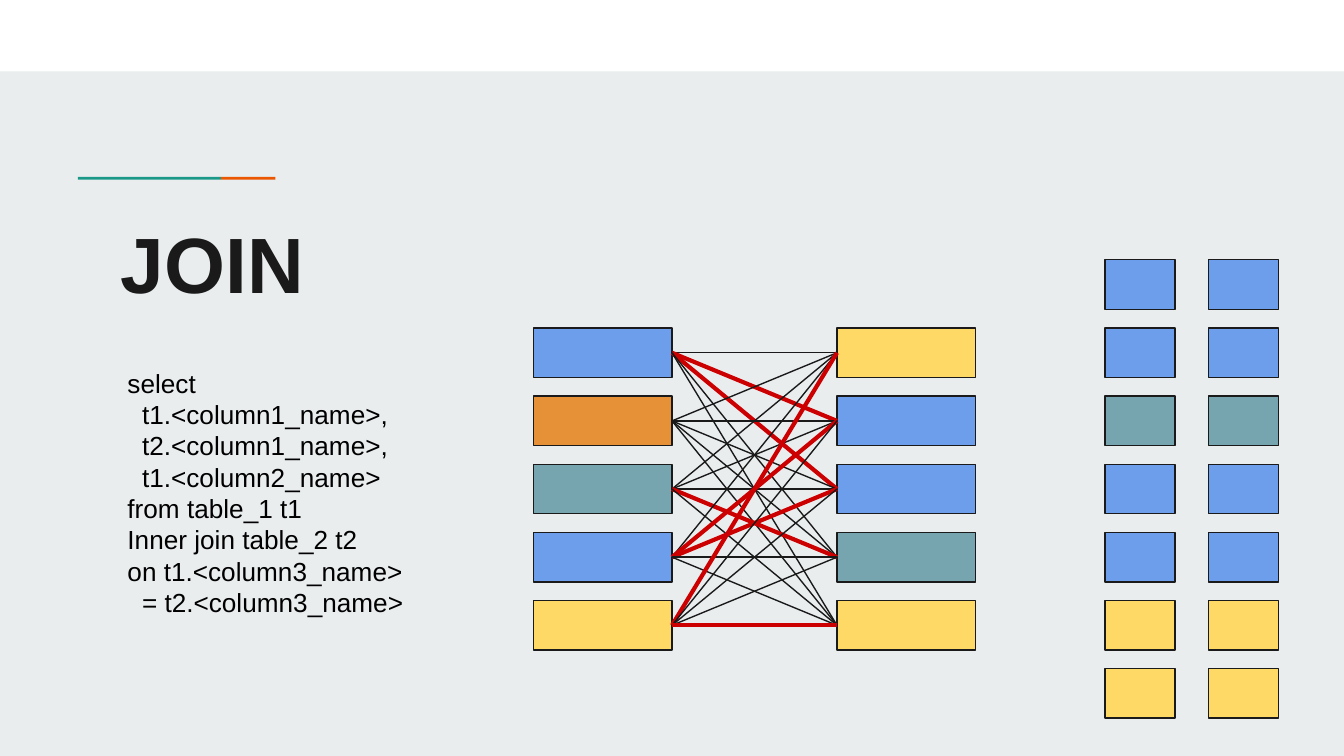
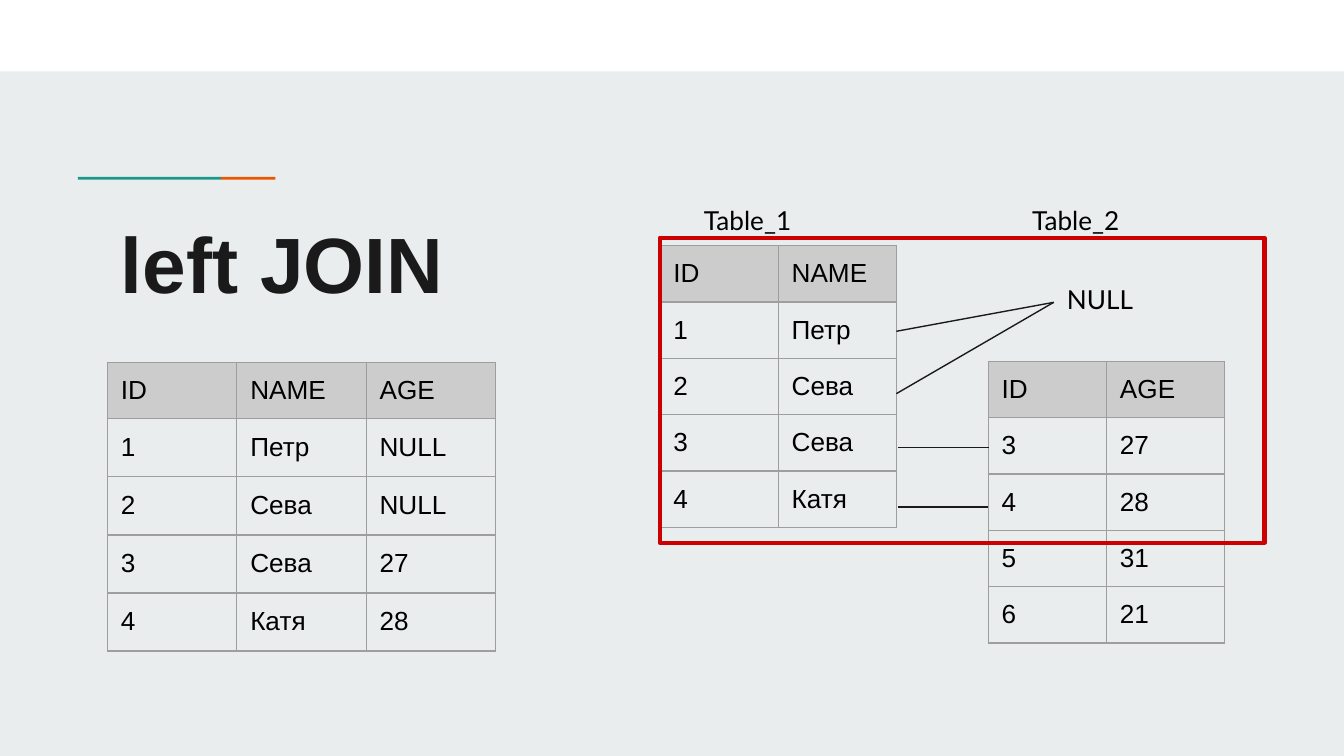
from dataclasses import dataclass

from lxml import etree
from pptx import Presentation
from pptx.dml.color import RGBColor
from pptx.enum import shapes, text
from pptx.oxml import ns
from pptx.util import Pt

# Content
CODE = [  # indent level, line
    (0, "select"),
    (1, "t1.<column1_name>,"),
    (1, "t2.<column1_name>,"),
    (1, "t1.<column2_name>"),
    (0, "from table_1 t1"),
    (0, "Inner join table_2 t2"),
    (0, "on t1.<column3_name>"),
    (1, "= t2.<column3_name>"),
]
BLUE, ORANGE, TEAL, GOLD = "6D9EEB", "E69138", "76A5AF", "FFD966"
LEFT = [BLUE, ORANGE, TEAL, BLUE, GOLD]
RIGHT = [GOLD, BLUE, BLUE, TEAL, GOLD]

NAMES = [("ID", "NAME"), ("1", "Петр"), ("2", "Сева"), ("3", "Сева"), ("4", "Катя")]
AGES = [("ID", "AGE"), ("3", "27"), ("4", "28"), ("5", "31"), ("6", "21")]
FOUND = dict(AGES[1:])
JOINED = [("ID", "NAME", "AGE")] + [
    (key, name, FOUND.get(key, "NULL")) for key, name in NAMES[1:]
]
LABELS = [("Table_1", 370), ("Table_2", 545.8)]
NULLS = [(480.2, 177.5), (480.2, 210.9)]  # starts of the lines to NULL
PAIRS = [(481, 239.6, 529.6), (481, 271.6, 529.2)]  # left, y, right


@dataclass(frozen=True)
class Theme:
    back: str = "E9EDEE"
    band: str = "FFFFFF"
    ink: str = "1A1A1A"
    body: str = "000000"
    green: str = "1A9988"
    orange: str = "EB5600"
    red: str = "CC0000"
    head: str = "CCCCCC"
    grid: str = "9E9E9E"
    font: str = "Arial"
    label: str = "Lato"
    big: float = 42
    small: float = 14
    thin: float = 0.75
    thick: float = 2.25
    pad: float = 7.2


T = Theme()


def rgb(code):
    return RGBColor.from_string(code)


def pts(*nums):
    return [Pt(n) for n in nums]


def write(frame, lines, font=T.font, size=T.small, color=T.body, bold=False,
          pad=T.pad, top=T.pad, space=None):
    """Fill a text frame with (indent level, text) lines."""
    frame.word_wrap = True
    frame.auto_size = text.MSO_AUTO_SIZE.NONE
    frame.vertical_anchor = text.MSO_ANCHOR.TOP
    frame.margin_left = frame.margin_right = frame.margin_bottom = Pt(pad)
    frame.margin_top = Pt(top)
    for i, (level, line) in enumerate(lines):
        par = frame.add_paragraph() if i else frame.paragraphs[0]
        par.alignment = text.PP_ALIGN.LEFT
        if space:
            par.line_spacing = Pt(space)
        if level:
            props = par._p.get_or_add_pPr()
            props.set("marL", str(Pt(7.8 * level)))
            props.set("indent", "0")
        run = par.add_run()
        run.text = line
        run.font.name, run.font.size = font, Pt(size)
        run.font.bold, run.font.color.rgb = bold, rgb(color)


def add_text(slide, box, lines, **form):
    shape = slide.shapes.add_textbox(*pts(*box))
    write(shape.text_frame, lines, **form)
    return shape


def add_rect(slide, box, fill=None, line=None, width=T.thin):
    shape = slide.shapes.add_shape(shapes.MSO_SHAPE.RECTANGLE, *pts(*box))
    shape.shadow.inherit = False
    if fill:
        shape.fill.solid()
        shape.fill.fore_color.rgb = rgb(fill)
    else:
        shape.fill.background()
    if line:
        shape.line.color.rgb = rgb(line)
        shape.line.width = Pt(width)
    else:
        shape.line.fill.background()
    return shape


def add_line(slide, ends=(0, 0, 0, 0), start=None, stop=None, color=T.ink, width=T.thin):
    """Draw a line; start and stop are shapes joined at their right and left sides."""
    line = slide.shapes.add_connector(shapes.MSO_CONNECTOR.STRAIGHT, *pts(*ends))
    if start is not None:
        line.begin_connect(start, 3)
    if stop is not None:
        line.end_connect(stop, 1)
    line.line.color.rgb = rgb(color)
    line.line.width = Pt(width)
    etree.SubElement(line._element.spPr, ns.qn("a:effectLst"))


def add_borders(cell):
    props = cell._tc.get_or_add_tcPr()
    for side in ("lnL", "lnR", "lnT", "lnB"):
        edge = etree.SubElement(props, ns.qn("a:" + side), w=str(Pt(T.thin)))
        fill = etree.SubElement(edge, ns.qn("a:solidFill"))
        etree.SubElement(fill, ns.qn("a:srgbClr"), val=T.grid)


def add_grid(slide, x, y, rows, wide, high, first=30.2):
    """Add a table whose first row is a shaded header."""
    count = len(rows[0])
    box = pts(x, y, wide * count, first + high * (len(rows) - 1))
    grid = slide.shapes.add_table(len(rows), count, *box).table
    grid.first_row = grid.horz_banding = False
    for col in grid.columns:
        col.width = Pt(wide)
    for r, row in enumerate(rows):
        grid.rows[r].height = Pt(high if r else first)
        for c, word in enumerate(row):
            cell = grid.cell(r, c)
            add_borders(cell)
            if r:
                cell.fill.background()
            else:
                cell.fill.solid()
                cell.fill.fore_color.rgb = rgb(T.head)
            cell.margin_left = cell.margin_right = Pt(T.pad)
            cell.margin_top = cell.margin_bottom = Pt(T.pad)
            par = cell.text_frame.paragraphs[0]
            run = par.add_run()
            run.text = word
            run.font.name, run.font.size = T.font, Pt(T.small)
            run.font.color.rgb = rgb(T.body)


def add_slide(deck, name, wide):
    slide = deck.slides.add_slide(deck.slide_layouts[5])
    add_rect(slide, (0, 0, 720, 38.3), T.band)
    add_rect(slide, (118.4, 94.8, 29.1, 1.5), T.orange)
    add_rect(slide, (41.8, 94.8, 76.6, 1.5), T.green)
    title = slide.shapes.title
    title.left, title.top, title.width, title.height = pts(57.6, 104.4, wide, 57.6)
    write(title.text_frame, [(0, name)], size=T.big, color=T.ink, bold=True, top=11)
    return slide


def join_slide(deck):
    slide = add_slide(deck, "JOIN", 475.2)
    add_text(slide, (61.2, 189.4, 167, 196.6), CODE, space=16.8)
    top, step, high = 175.7, 36.5, 26.6

    def stack(x, wide, fills, y=top):
        return [add_rect(slide, (x, y + i * step, wide, high), fill, T.ink)
                for i, fill in enumerate(fills)]

    ones, twos = stack(285.8, 74.2, LEFT), stack(448.4, 74.2, RIGHT)
    found = []
    for one, a in zip(ones, LEFT):
        for two, b in zip(twos, RIGHT):
            if a == b:
                found.append(a)
                add_line(slide, start=one, stop=two, color=T.red, width=T.thick)
            else:
                add_line(slide, start=one, stop=two)
    for x in (592, 647.3):
        stack(x, 37.6, found, top - step)


def left_slide(deck):
    slide = add_slide(deck, "left JOIN", 247)
    add_grid(slide, 353.5, 131.6, NAMES, 63.4, 30.1)
    add_grid(slide, 529.4, 193.6, AGES, 63.4, 30.1)
    for name, x in LABELS:
        add_text(slide, (x, 102.2, 94.3, 22.3), [(0, name)], font=T.label)
    for x, y, end in PAIRS:
        add_line(slide, (x, y, end, y))
    add_rect(slide, (353.5, 127.4, 324, 163.4), line=T.red, width=T.thick)
    null = add_text(slide, (564.5, 144.7, 56.9, 34.6), [(0, "NULL")], font=T.label)
    for x, y in NULLS:
        add_line(slide, (x, y, x, y), stop=null)
    add_grid(slide, 57.6, 194.2, JOINED, 69.3, 31.1)


def main():
    deck = Presentation()
    deck.slide_width, deck.slide_height = pts(720, 405)
    back = deck.slide_master.background.fill
    back.solid()
    back.fore_color.rgb = rgb(T.back)
    join_slide(deck)
    left_slide(deck)
    deck.save("out.pptx")


if __name__ == "__main__":
    main()
